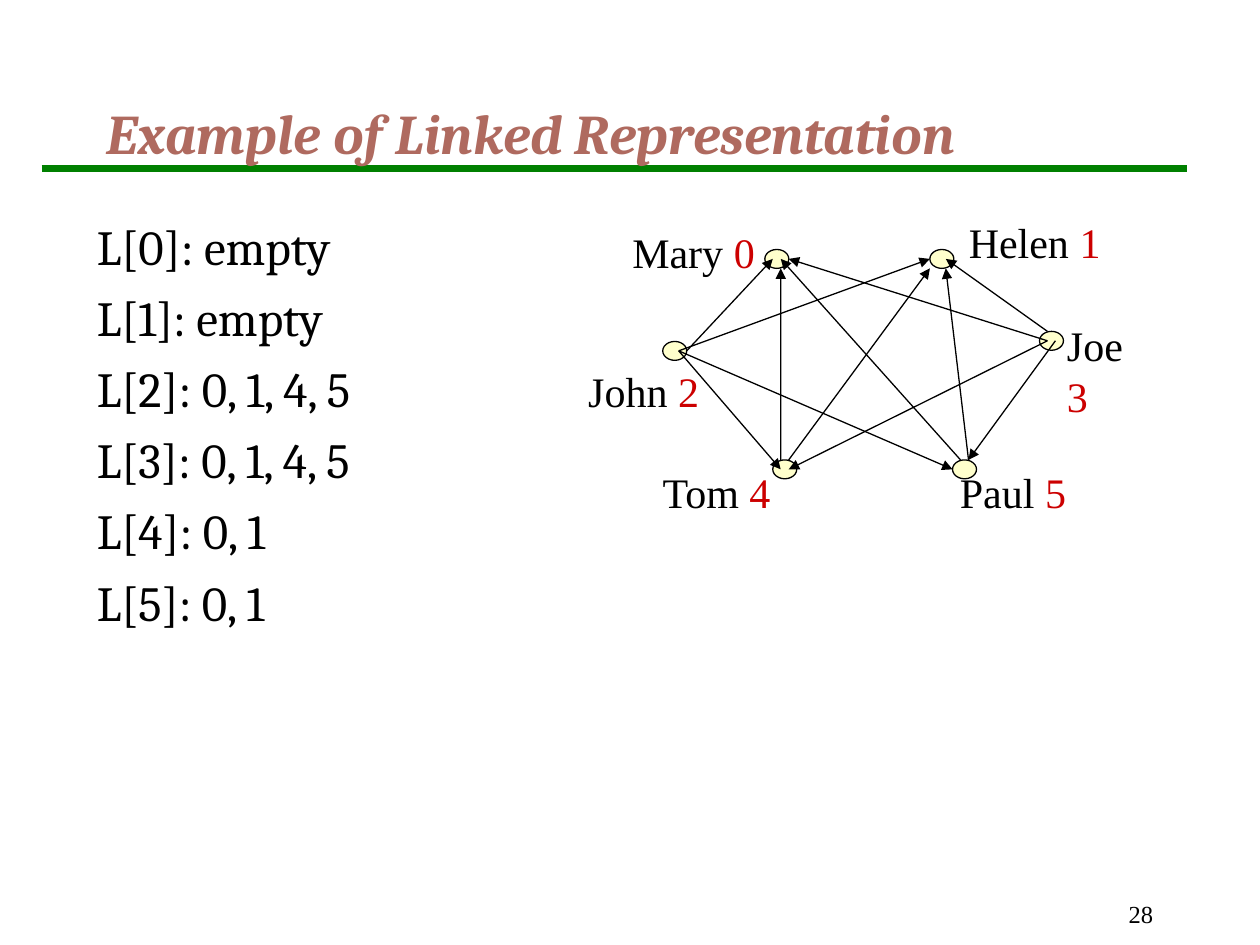
from dataclasses import dataclass
from pptx import Presentation
from pptx.dml.color import RGBColor
from pptx.enum.shapes import MSO_CONNECTOR, MSO_SHAPE
from pptx.enum.text import MSO_ANCHOR, MSO_AUTO_SIZE, PP_ALIGN
from pptx.oxml.ns import qn
from pptx.util import Inches, Pt
from lxml.etree import SubElement

COLS, ROWS, WIDTH, HEIGHT = 100, 75, Inches(10), Inches(7.5)


@dataclass(frozen=True)
class Theme:
    ink: str = "000000"
    title: str = "AF6A5F"
    rule: str = "008000"
    node: str = "FFFFCC"
    index: str = "CC0000"
    serif: str = "Cambria"
    plain: str = "Times New Roman"
    title_size: int = 32
    body_size: int = 28
    label_size: int = 24
    number_size: int = 14


T = Theme()

NODES = {
    "John": (7.6, 11.1), "Mary": (15.7, 3.8), "Tom": (16.33, 20.5),
    "Paul": (30.6, 20.5), "Joe": (37.5, 10.3), "Helen": (28.8, 3.8),
}
LABELS = [
    ("John", 2, (0.7, 12.5, 10.8, 5), False),
    ("Joe", 3, (38.7, 8.9, 6.7, 9), True),
    ("Mary", 0, (4.2, 1.5, 11.7, 5), False),
    ("Helen", 1, (30.9, 0.7, 12.8, 5), False),
    ("Tom", 4, (6.6, 20.5, 10.8, 5), False),
    ("Paul", 5, (30.2, 20.5, 10.4, 5), True),
]
EDGES = [
    (("John", 3, 1), ("Mary", 1, 1)),
    (("John", 2, 1), ("Helen", 0, 1)),
    (("Joe", 1, 0), ("Helen", 2, 1)),
    (("Joe", 1, 1), ("Mary", 3, 1)),
    (("John", 2, 1), ("Tom", 1, 1)),
    (("John", 2, 1), ("Paul", 0, 1)),
    (("Joe", 1, 1), ("Tom", 2, 1)),
    (("Joe", 2, 1), ("Paul", 2, 0)),
    (("Tom", 1, 0), ("Mary", 2, 2)),
    (("Paul", 2, 0), ("Helen", 2, 2)),
    (("Tom", 2, 0), ("Helen", 0, 2)),
    (("Paul", 1, 0), ("Mary", 2, 1)),
]
NODE_W, NODE_H = 1.9, 1.5


def col(n):
    return round(WIDTH * n / COLS)


def row(n):
    return round(HEIGHT * n / ROWS)


def place(x, y, w, h):
    return col(x), row(y), col(w), row(h)


def add_run(p, text, size, font, color, bold=False, italic=False):
    r = p.add_run()
    r.text = text
    r.font.size, r.font.name = Pt(size), font
    r.font.bold, r.font.italic = bold, italic
    r.font.color.rgb = RGBColor.from_string(color)


def add_text(s, box, anchor=MSO_ANCHOR.TOP, wrap=True):
    tf = s.shapes.add_textbox(*place(*box)).text_frame
    tf.word_wrap, tf.vertical_anchor = wrap, anchor
    return tf


def add_line(s, start, end, color, width, arrow=False):
    (x1, y1), (x2, y2) = start, end
    c = s.shapes.add_connector(MSO_CONNECTOR.STRAIGHT, col(x1), row(y1), col(x2), row(y2))
    c.line.color.rgb = RGBColor.from_string(color)
    c.line.width = Pt(width)
    if arrow:
        SubElement(c.line._get_or_add_ln(), qn("a:tailEnd"), type="triangle")
    SubElement(c._element.spPr, qn("a:effectLst"))


def heading(s, box):
    add_line(s, (3.3, 13.35), (94.2, 13.35), T.rule, 4)
    p = add_text(s, box, MSO_ANCHOR.MIDDLE).paragraphs[0]
    add_run(p, "Example of Linked Representation", T.title_size, T.serif, T.title, True, True)


def adjacency_lists(s, box):
    tf = add_text(s, box)
    for i, items in enumerate(["empty", "empty", "0, 1, 4, 5", "0, 1, 4, 5", "0, 1", "0, 1"]):
        p = tf.paragraphs[0] if i == 0 else tf.add_paragraph()
        p.space_before = Pt(7)
        pPr = p._p.get_or_add_pPr()
        pPr.set("marL", str(col(3.8)))
        pPr.set("indent", str(-col(3.8)))
        add_run(p, f"L[{i}]: {items}", T.body_size, T.serif, T.ink)


def graph(s, box):
    left, top = box[:2]

    def end(name, thirds, halves):
        x, y = NODES[name]
        return left + x + NODE_W * thirds / 3, top + y + NODE_H * halves / 2

    for x, y in NODES.values():
        sp = s.shapes.add_shape(MSO_SHAPE.OVAL, *place(left + x, top + y, NODE_W, NODE_H))
        sp.shadow.inherit = False
        sp.fill.solid()
        sp.fill.fore_color.rgb = RGBColor.from_string(T.node)
        sp.line.color.rgb = RGBColor.from_string(T.ink)
        sp.line.width = Pt(0.75)
    for name, index, (x, y, w, h), wrap in LABELS:
        tf = add_text(s, (left + x, top + y, w, h), wrap=wrap)
        tf.auto_size = MSO_AUTO_SIZE.SHAPE_TO_FIT_TEXT
        p = tf.paragraphs[0]
        add_run(p, f"{name} ", T.label_size, T.plain, T.ink)
        add_run(p, str(index), T.label_size, T.plain, T.index)
    for start, finish in EDGES:
        add_line(s, end(*start), end(*finish), T.ink, 0.75, arrow=True)


def page_number(s, box):
    p = add_text(s, box, MSO_ANCHOR.BOTTOM).paragraphs[0]
    p.alignment = PP_ALIGN.RIGHT
    add_run(p, "28", T.number_size, T.plain, T.ink)


def main():
    prs = Presentation()
    prs.slide_width, prs.slide_height = WIDTH, HEIGHT
    s = prs.slides.add_slide(prs.slide_layouts[6])
    page_number(s, (71.7, 69.2, 20.8, 5))
    heading(s, (7.5, 6.7, 85, 7.5))
    adjacency_lists(s, (6.7, 16.7, 85, 50))
    graph(s, (45, 16, 46, 26))
    prs.save("out.pptx")


if __name__ == "__main__":
    main()
